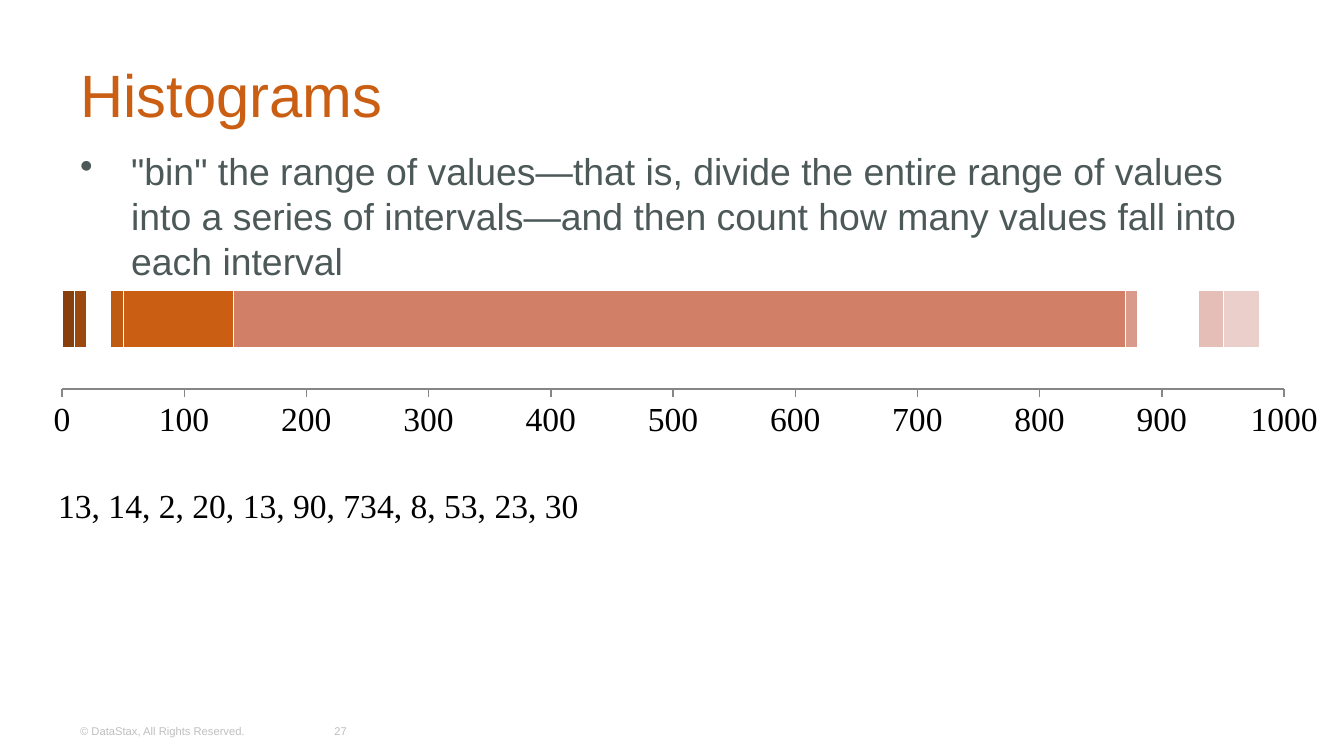
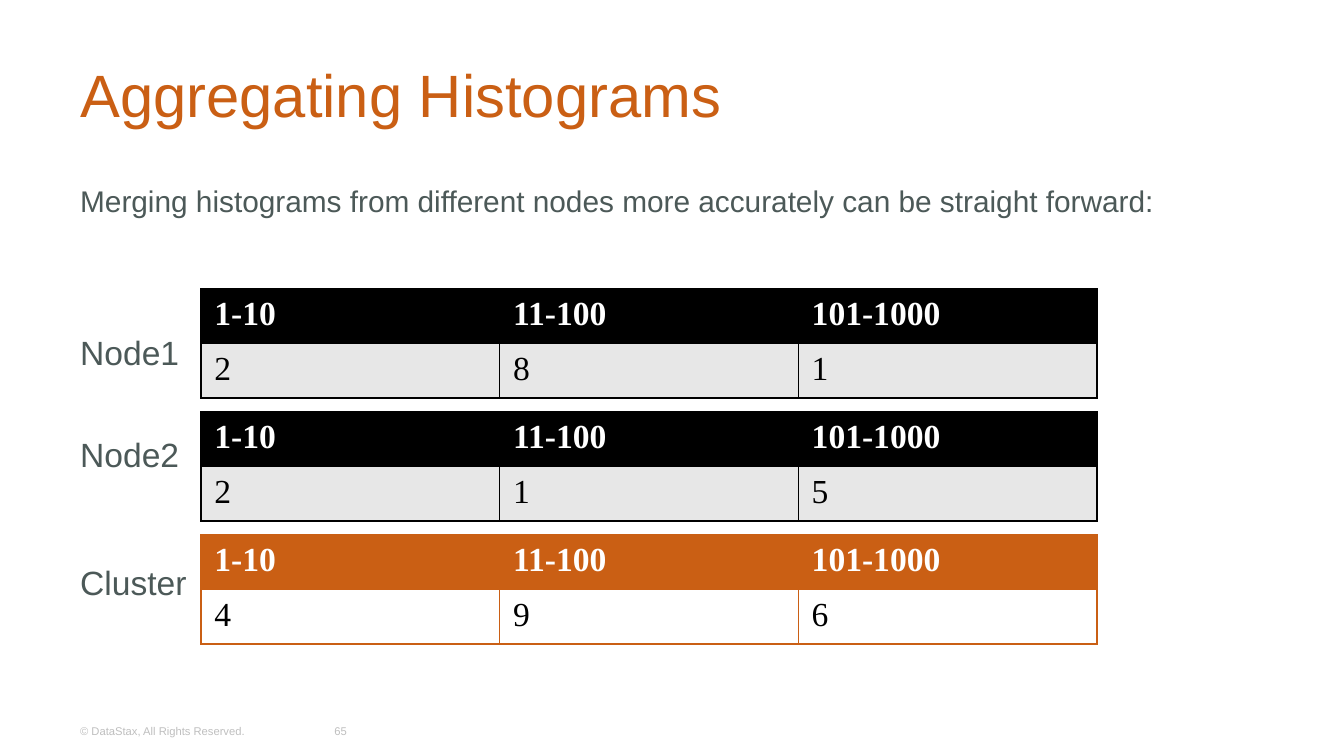
from pptx import Presentation
from pptx.chart.data import CategoryChartData
from pptx.dml.color import RGBColor
from pptx.enum.chart import XL_CHART_TYPE, XL_TICK_MARK
from pptx.enum.text import MSO_ANCHOR, PP_ALIGN
from pptx.oxml import parse_xml
from pptx.oxml.ns import nsdecls
from pptx.util import Emu, Pt

PX = 914400 / 134.4
TITLE_ONLY = 5
STACKED_BAR = XL_CHART_TYPE.BAR_STACKED
TICK_OUTSIDE, TICK_NONE = XL_TICK_MARK.OUTSIDE, XL_TICK_MARK.NONE
TOP, MIDDLE = MSO_ANCHOR.TOP, MSO_ANCHOR.MIDDLE
LEFT, CENTER = PP_ALIGN.LEFT, PP_ALIGN.CENTER

SANS, SERIF = "Arial", "Times New Roman"
ORANGE = RGBColor(0xCA, 0x5F, 0x14)
SLATE = RGBColor(0x4C, 0x59, 0x58)
FOOTER_GRAY = RGBColor(0xBF, 0xBF, 0xBF)
AXIS_GRAY = RGBColor(0x86, 0x86, 0x86)
CELL_GRAY = RGBColor(0xE7, 0xE7, 0xE7)
BLACK = RGBColor(0, 0, 0)
WHITE = RGBColor(0xFF, 0xFF, 0xFF)

MARGIN = 67
BODY_WIDTH = 1210

# Each value of the sample is one segment of the bar; white ones are gaps.
SEGMENTS = [
    (13, RGBColor(0x87, 0x3F, 0x0D)),
    (14, RGBColor(0x9B, 0x49, 0x0F)),
    (2, RGBColor(0xAD, 0x52, 0x11)),
    (20, WHITE),
    (13, RGBColor(0xBF, 0x5A, 0x13)),
    (90, ORANGE),
    (734, RGBColor(0xD1, 0x7F, 0x66)),
    (8, RGBColor(0xD9, 0x9A, 0x8B)),
    (53, WHITE),
    (23, RGBColor(0xE5, 0xBF, 0xB7)),
    (30, RGBColor(0xEB, 0xCF, 0xCA)),
]

BINS = ["1-10", "11-100", "101-1000"]
# Label, space before the label in points, counts, accent, count fill
HISTOGRAMS = [
    ("Node1", 61, [2, 8, 1], BLACK, CELL_GRAY),
    ("Node2", 33, [2, 1, 5], BLACK, CELL_GRAY),
    ("Cluster", 47, [4, 9, 6], ORANGE, WHITE),
]
TABLE_TOP, TABLE_PITCH = 289, 123


def px(*lengths):
    return [Emu(round(length * PX)) for length in lengths]


def format_font(font, size, color, name=SANS, bold=False):
    font.name, font.size, font.bold = name, Pt(size), bold
    font.color.rgb = color


def add_text(page, text, left, top, width, height, size=20, color=SLATE,
             name=SANS, align=LEFT, anchor=TOP, wrap=True):
    frame = page.shapes.add_textbox(*px(left, top, width, height)).text_frame
    frame.word_wrap = wrap
    frame.vertical_anchor = anchor
    para = frame.paragraphs[0]
    para.text = text
    para.alignment = align
    format_font(para.font, size, color, name)
    return frame


def add_page(deck, title, number):
    page = deck.slides.add_slide(deck.slide_layouts[TITLE_ONLY])
    box = page.shapes.title
    box.left, box.top, box.width, box.height = px(MARGIN, 31, BODY_WIDTH, 126)
    box.text_frame.vertical_anchor = MIDDLE
    para = box.text_frame.paragraphs[0]
    para.text = title
    para.alignment = LEFT
    format_font(para.font, 32, ORANGE)
    small = {"size": 6, "color": FOOTER_GRAY, "anchor": MIDDLE}
    add_text(page, "© DataStax, All Rights Reserved.", MARGIN, 711, 234, 40, **small)
    add_text(page, str(number), 311, 711, 59, 40, align=CENTER, **small)
    return page


def add_bullet(para, indent):
    properties = para._p.get_or_add_pPr()
    hanging, = px(indent)
    properties.set("marL", str(hanging))
    properties.set("indent", str(-hanging))
    bullet = parse_xml(f'<a:buChar {nsdecls("a")} char="•"/>')
    properties.insert_element_before(bullet, "a:tabLst", "a:defRPr", "a:extLst")


def place_plot(chart, x, y, width, height):
    """Fix the inner plot area, in fractions of the chart."""
    plot_area = chart._chartSpace.chart.plotArea
    for old in plot_area.xpath("c:layout"):
        plot_area.remove(old)
    parts = "".join(f'<c:{tag} val="{value}"/>' for tag, value in
                    (("x", x), ("y", y), ("w", width), ("h", height)))
    plot_area.insert(0, parse_xml(
        f'<c:layout {nsdecls("c")}><c:manualLayout><c:layoutTarget val="inner"/>'
        f'<c:xMode val="edge"/><c:yMode val="edge"/>{parts}'
        f'</c:manualLayout></c:layout>'))


def add_range_chart(page, left, top, width, height):
    """Draw the sample, rounded to tens, as one stacked bar."""
    data = CategoryChartData()
    data.categories = ["1"]
    for index, (value, _) in enumerate(SEGMENTS, 1):
        data.add_series(f"Series {index}", [round(value, -1)])
    chart = page.shapes.add_chart(STACKED_BAR, *px(left, top, width, height), data).chart
    format_font(chart.font, 18, BLACK, SERIF)
    chart.has_legend = chart.has_title = False
    place_plot(chart, 0.0266, 0.03, 0.928, 0.705)

    plot = chart.plots[0]
    plot.gap_width, plot.overlap = 150, 100
    plot.vary_by_categories = False
    for series, (_, color) in zip(plot.series, SEGMENTS):
        series.format.fill.solid()
        series.format.fill.fore_color.rgb = color
        series.format.line.color.rgb = WHITE
        series.format.line.width = Pt(0.5)

    chart.category_axis.visible = False
    axis = chart.value_axis
    axis.has_major_gridlines = False
    axis.minimum_scale, axis.maximum_scale, axis.major_unit = 0, 1000, 100
    axis.major_tick_mark, axis.minor_tick_mark = TICK_OUTSIDE, TICK_NONE
    axis.format.line.color.rgb = AXIS_GRAY
    axis.format.line.width = Pt(0.75)


def format_cell(cell, text, fill, color, border, bold):
    properties = cell._tc.get_or_add_tcPr()
    for side in "LRTB":
        properties.append(parse_xml(
            f'<a:ln{side} {nsdecls("a")} w="{Pt(1)}"><a:solidFill>'
            f'<a:srgbClr val="{border}"/></a:solidFill></a:ln{side}>'))
    cell.fill.solid()
    cell.fill.fore_color.rgb = fill
    para = cell.text_frame.paragraphs[0]
    para.text = text
    format_font(para.font, 18, color, SERIF, bold)


def add_histogram_table(page, counts, top, accent, count_fill):
    frame = page.shapes.add_table(2, len(BINS), *px(201, top, 896, 109))
    for column, (interval, count) in enumerate(zip(BINS, counts)):
        format_cell(frame.table.cell(0, column), interval, accent, WHITE, accent, True)
        format_cell(frame.table.cell(1, column), str(count), count_fill, BLACK, accent, False)


def build_histograms(deck):
    page = add_page(deck, "Histograms", 27)
    frame = add_text(
        page,
        '"bin" the range of values—that is, divide the entire range of values '
        "into a series of intervals—and then count how many values fall into "
        "each interval",
        MARGIN, 142, BODY_WIDTH, 470)
    add_bullet(frame.paragraphs[0], 51)
    add_range_chart(page, 27, 243, 1317, 199)
    sample = ", ".join(str(value) for value, _ in SEGMENTS)
    add_text(page, sample, 45, 478, 552, 54, size=18, color=BLACK, name=SERIF, wrap=False)


def build_aggregation(deck):
    page = add_page(deck, "Aggregating Histograms", 65)
    frame = add_text(
        page,
        "Merging histograms from different nodes more accurately can be straight forward:",
        MARGIN, 176, BODY_WIDTH, 470, size=16)
    for index, (label, space, counts, accent, fill) in enumerate(HISTOGRAMS):
        para = frame.add_paragraph()
        para.text = label
        para.space_before = Pt(space)
        format_font(para.font, 18, SLATE)
        add_histogram_table(page, counts, TABLE_TOP + index * TABLE_PITCH, accent, fill)


def main():
    deck = Presentation()
    deck.slide_width, deck.slide_height = px(1344, 756)
    build_histograms(deck)
    build_aggregation(deck)
    deck.save("out.pptx")


if __name__ == "__main__":
    main()
